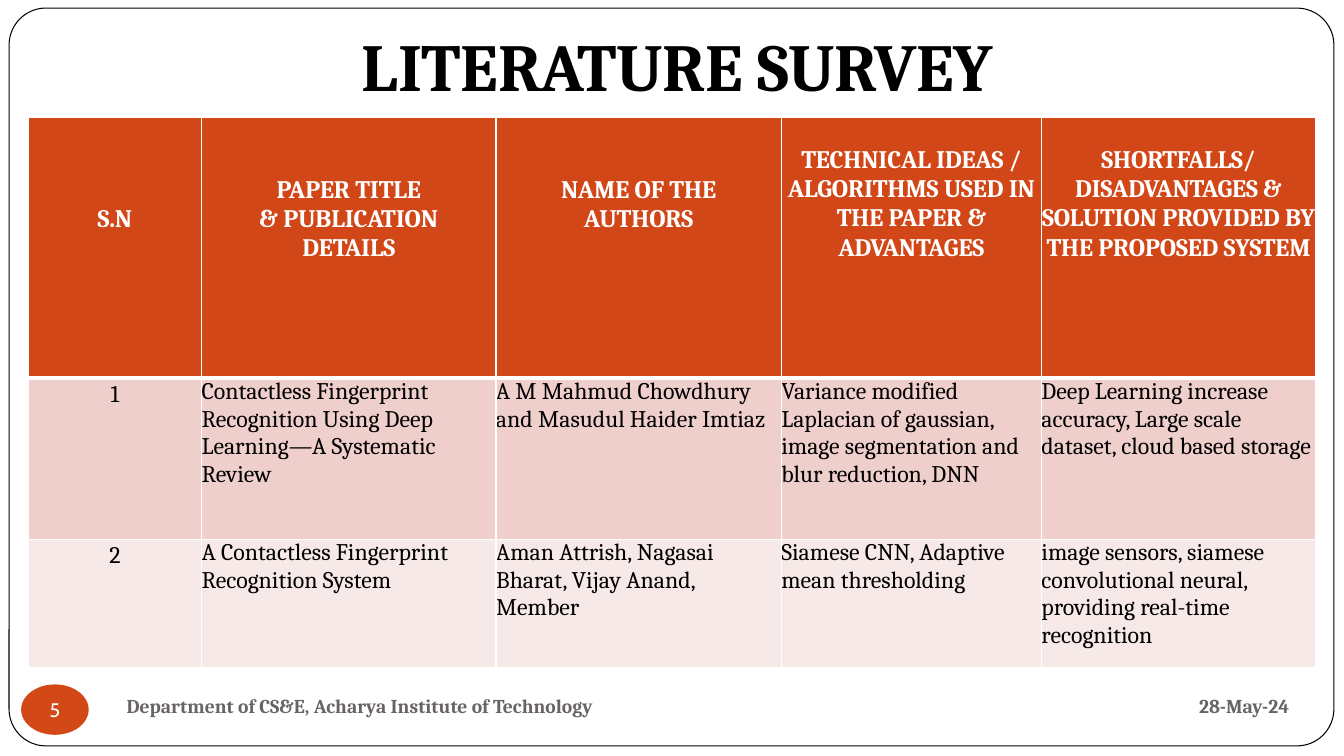
from dataclasses import dataclass

from lxml import etree
from pptx import Presentation
from pptx.dml.color import RGBColor
from pptx.enum.shapes import MSO_SHAPE
from pptx.enum.text import MSO_ANCHOR, PP_ALIGN
from pptx.oxml.ns import qn
from pptx.util import Inches, Pt

LEFT, CENTER = PP_ALIGN.LEFT, PP_ALIGN.CENTER
TOP, MIDDLE, BOTTOM = MSO_ANCHOR.TOP, MSO_ANCHOR.MIDDLE, MSO_ANCHOR.BOTTOM
ROUND, OVAL = MSO_SHAPE.ROUNDED_RECTANGLE, MSO_SHAPE.OVAL


@dataclass(frozen=True)
class Theme:
    serif: str = "Cambria"
    sans: str = "Cabin"
    black: str = "000000"
    white: str = "FFFFFF"
    gray: str = "696464"
    badge: str = "D34817"
    head: str = "D24717"
    bands: tuple = ("EECFCC", "F7E9E7")
    title: int = 48
    label: int = 18
    body: int = 17
    small: int = 14


THEME = Theme()
COLS = (1.72, 2.92, 2.83, 2.58, 2.72)
ROWS = (2.59, 1.6, 1.27)
HEADS = (
    (0.87, ["S.N"]),
    (0.58, ["PAPER TITLE", "& PUBLICATION", "DETAILS"]),
    (0.58, ["NAME OF THE", "AUTHORS"]),
    (0.29, ["TECHNICAL IDEAS / ALGORITHMS USED IN THE PAPER & ADVANTAGES"]),
    (0.29, ["SHORTFALLS/", "DISADVANTAGES &",
            "SOLUTION PROVIDED BY THE PROPOSED SYSTEM"]),
)
PAPERS = (
    (["1"],
     ["Contactless Fingerprint Recognition Using Deep Learning—A Systematic Review"],
     ["A M Mahmud Chowdhury and Masudul Haider Imtiaz"],
     ["Variance modified Laplacian of gaussian,",
      "image segmentation and blur reduction, DNN"],
     ["Deep Learning increase accuracy, Large scale dataset, cloud based storage"]),
    (["2"],
     ["A Contactless Fingerprint Recognition System"],
     ["Aman Attrish, Nagasai Bharat, Vijay Anand, Member"],
     ["Siamese CNN, Adaptive mean thresholding"],
     ["image sensors, siamese convolutional neural, providing real-time recognition"]),
)


def rgb(code):
    return RGBColor.from_string(code)


def write(frame, lines, size=THEME.body, color=THEME.black, font=THEME.serif,
          bold=False, align=LEFT, track=0):
    for i, line in enumerate(lines):
        para = frame.paragraphs[0] if i == 0 else frame.add_paragraph()
        para.alignment = align
        run = para.add_run()
        run.text = line
        run.font.size = Pt(size)
        run.font.name = font
        run.font.bold = bold
        run.font.color.rgb = rgb(color)
        if track:
            run.font._element.set("spc", str(round(track * 100)))


def inset(item, left=0, top=0, right=0, bottom=0):
    item.margin_left, item.margin_top = Inches(left), Inches(top)
    item.margin_right, item.margin_bottom = Inches(right), Inches(bottom)


def add_box(slide, area, line, anchor=MIDDLE, left=0, **style):
    frame = slide.shapes.add_textbox(*map(Inches, area)).text_frame
    frame.word_wrap = True
    frame.vertical_anchor = anchor
    inset(frame, left=left)
    write(frame, [line], bold=True, **style)


def add_form(slide, kind, area, fill, edge=None):
    shape = slide.shapes.add_shape(kind, *map(Inches, area))
    shape.shadow.inherit = False
    shape.fill.solid()
    shape.fill.fore_color.rgb = rgb(fill)
    if edge:
        shape.line.color.rgb = rgb(edge)
        shape.line.width = Pt(0.75)
    else:
        shape.line.fill.background()
    return shape


def add_edge(cell, side, width):
    props = cell._tc.get_or_add_tcPr()
    line = etree.SubElement(props, qn(f"a:ln{side}"), w=str(Pt(width)))
    fill = etree.SubElement(line, qn("a:solidFill"))
    etree.SubElement(fill, qn("a:srgbClr"), val=THEME.white)


def fill_cell(cell, row, lines, top, **style):
    inset(cell, top=top)
    cell.vertical_anchor = TOP
    for side in "LRTB":
        thick = (row, side) in ((0, "B"), (1, "T"))
        add_edge(cell, side, 3 if thick else 1)
    cell.fill.solid()
    cell.fill.fore_color.rgb = rgb((THEME.head, *THEME.bands)[row])
    write(cell.text_frame, lines, **style)


def add_survey(slide):
    area = map(Inches, (0.28, 1.16, sum(COLS), sum(ROWS)))
    table = slide.shapes.add_table(len(ROWS), len(COLS), *area).table
    for col, width in zip(table.columns, COLS):
        col.width = Inches(width)
    for row, height in zip(table.rows, ROWS):
        row.height = Inches(height)
    for c, (top, lines) in enumerate(HEADS):
        fill_cell(table.cell(0, c), 0, lines, top, size=THEME.label,
                  color=THEME.white, bold=True, align=CENTER, track=-0.1)
    for r, paper in enumerate(PAPERS, 1):
        for c, lines in enumerate(paper):
            first = c == 0
            fill_cell(table.cell(r, c), r, lines, 0.03 if first else 0,
                      align=CENTER if first else LEFT)


def main():
    deck = Presentation()
    deck.slide_width, deck.slide_height = Inches(13.33), Inches(7.5)
    slide = deck.slides.add_slide(deck.slide_layouts[6])

    frame = add_form(slide, ROUND, (0.09, 0.08, 13.14, 7.32), THEME.white, THEME.black)
    frame.adjustments[0] = 0.05
    add_box(slide, (1.45, 0.2, 8.85, 0.84), "LITERATURE SURVEY", anchor=BOTTOM,
            left=2.14, size=THEME.title, track=-0.25)
    add_survey(slide)

    badge = add_form(slide, OVAL, (0.21, 6.79, 0.67, 0.5), THEME.badge).text_frame
    inset(badge)
    badge.vertical_anchor = MIDDLE
    write(badge, ["5"], size=THEME.small, color=THEME.white, font=THEME.sans,
          align=CENTER)
    foot = dict(size=THEME.small, color=THEME.gray, align=CENTER)
    add_box(slide, (11.75, 6.8, 1.18, 0.41), "28-May-24", **foot)
    add_box(slide, (1.08, 6.75, 4.98, 0.5),
            "Department of CS&E, Acharya Institute of Technology", **foot)
    deck.save("out.pptx")


if __name__ == "__main__":
    main()
